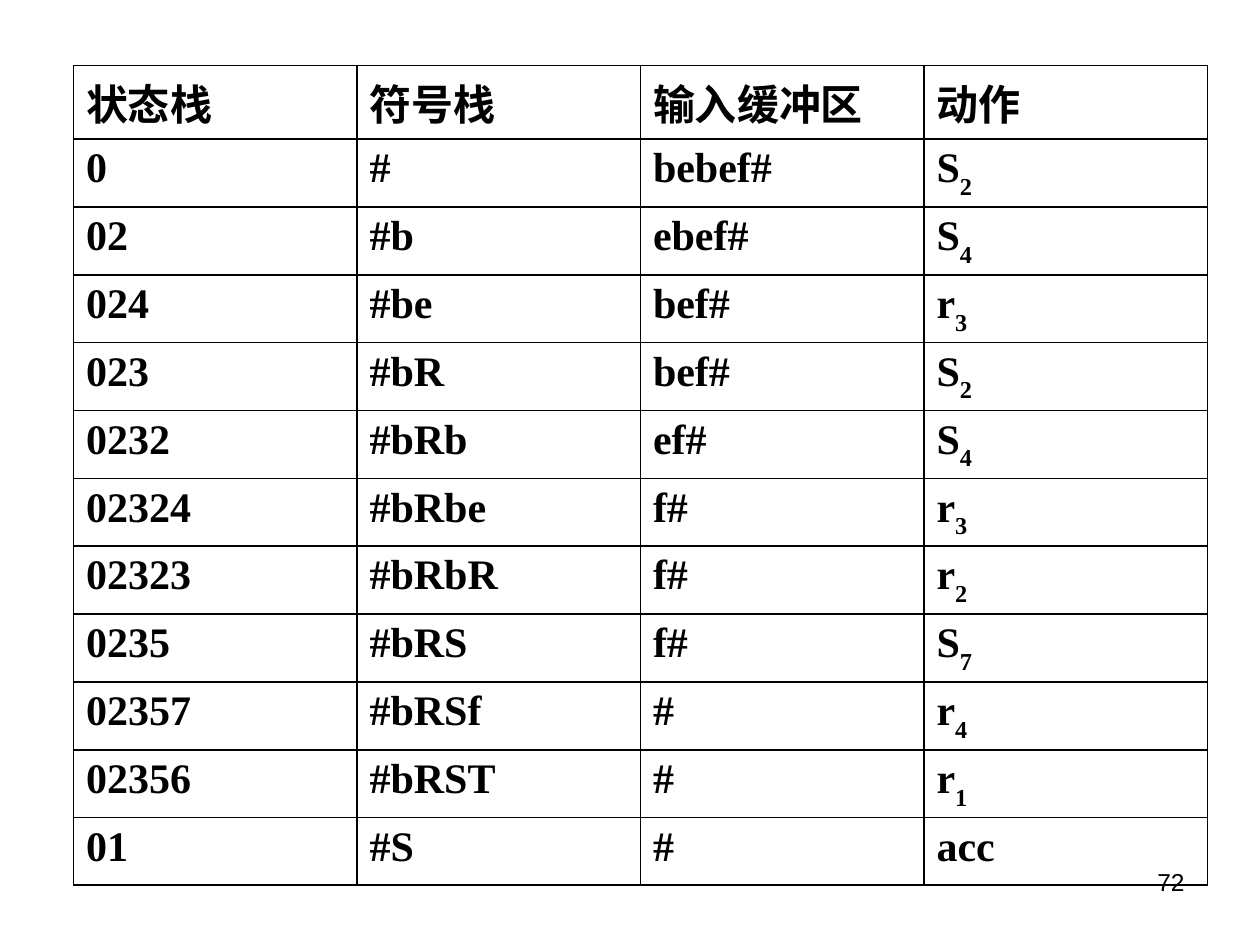
from lxml import etree
from pptx import Presentation
from pptx.dml.color import RGBColor
from pptx.enum.text import PP_ALIGN
from pptx.oxml.ns import qn
from pptx.util import Cm, Pt

RIGHT = PP_ALIGN.RIGHT
BLANK_LAYOUT = 6
HEADINGS = ["状态栈", "符号栈", "输入缓冲区", "动作"]
STEPS = [
    ("0", "#", "bebef#", "S2"),
    ("02", "#b", "ebef#", "S4"),
    ("024", "#be", "bef#", "r3"),
    ("023", "#bR", "bef#", "S2"),
    ("0232", "#bRb", "ef#", "S4"),
    ("02324", "#bRbe", "f#", "r3"),
    ("02323", "#bRbR", "f#", "r2"),
    ("0235", "#bRS", "f#", "S7"),
    ("02357", "#bRSf", "#", "r4"),
    ("02356", "#bRST", "#", "r1"),
    ("01", "#S", "#", "acc"),
]


def color(value):
    return RGBColor.from_string(value)


class ParseTraceSlide:
    """Holds the style and the current slide of an LR parse trace."""

    ink = "000000"
    table_font = "Times New Roman"
    number_font = "Arial"

    def __init__(self, presentation):
        layout = presentation.slide_layouts[BLANK_LAYOUT]
        self.slide = presentation.slides.add_slide(layout)

    def format_run(self, run, font, size, bold=False):
        run.font.name = font
        run.font.size = Pt(size)
        run.font.bold = bold
        run.font.color.rgb = color(self.ink)

    def border(self, cell):
        properties = cell._tc.get_or_add_tcPr()
        for position, side in enumerate(("lnL", "lnR", "lnT", "lnB")):
            line = etree.Element(qn(f"a:{side}"), w=str(Pt(1)))
            fill = etree.SubElement(line, qn("a:solidFill"))
            etree.SubElement(fill, qn("a:srgbClr"), val=self.ink)
            properties.insert(position, line)

    def fill_cell(self, cell, text, subscript=""):
        cell.fill.background()
        self.border(cell)
        paragraph = cell.text_frame.paragraphs[0]
        paragraph.text = text
        if subscript:
            index = paragraph.add_run()
            index.text = subscript
            index.font._element.set("baseline", "-30000")
        indent = Cm(0.95)
        paragraph._p.get_or_add_pPr().set("marL", str(indent))
        paragraph._p.get_or_add_pPr().set("indent", str(-indent))
        for run in paragraph.runs:
            self.format_run(run, self.table_font, 24, bold=True)

    def table(self, headings, steps, left, top, width, height):
        frame = self.slide.shapes.add_table(
            len(steps) + 1, len(headings), left, top, width, height)
        trace = frame.table
        trace.horz_banding = False
        trace.first_row = False
        for column, heading in enumerate(headings):
            self.fill_cell(trace.cell(0, column), heading)
        for row, (*stacks, action) in enumerate(steps, start=1):
            for column, content in enumerate(stacks):
                self.fill_cell(trace.cell(row, column), content)
            symbol = action.rstrip("0123456789")
            self.fill_cell(trace.cell(row, len(stacks)), symbol, action[len(symbol):])

    def page_number(self, number, left, top, width, height):
        frame = self.slide.shapes.add_textbox(left, top, width, height).text_frame
        frame.word_wrap = True
        frame.text = number
        paragraph = frame.paragraphs[0]
        paragraph.alignment = RIGHT
        self.format_run(paragraph.runs[0], self.number_font, 14)


def main():
    presentation = Presentation()
    presentation.slide_width = Cm(25.4)
    presentation.slide_height = Cm(19.05)
    trace = ParseTraceSlide(presentation)
    trace.table(HEADINGS, STEPS, Cm(1.48), Cm(1.32), Cm(22.86), Cm(16.26))
    trace.page_number("72", Cm(18.21), Cm(17.35), Cm(5.92), Cm(1.32))
    presentation.save("out.pptx")


if __name__ == "__main__":
    main()
